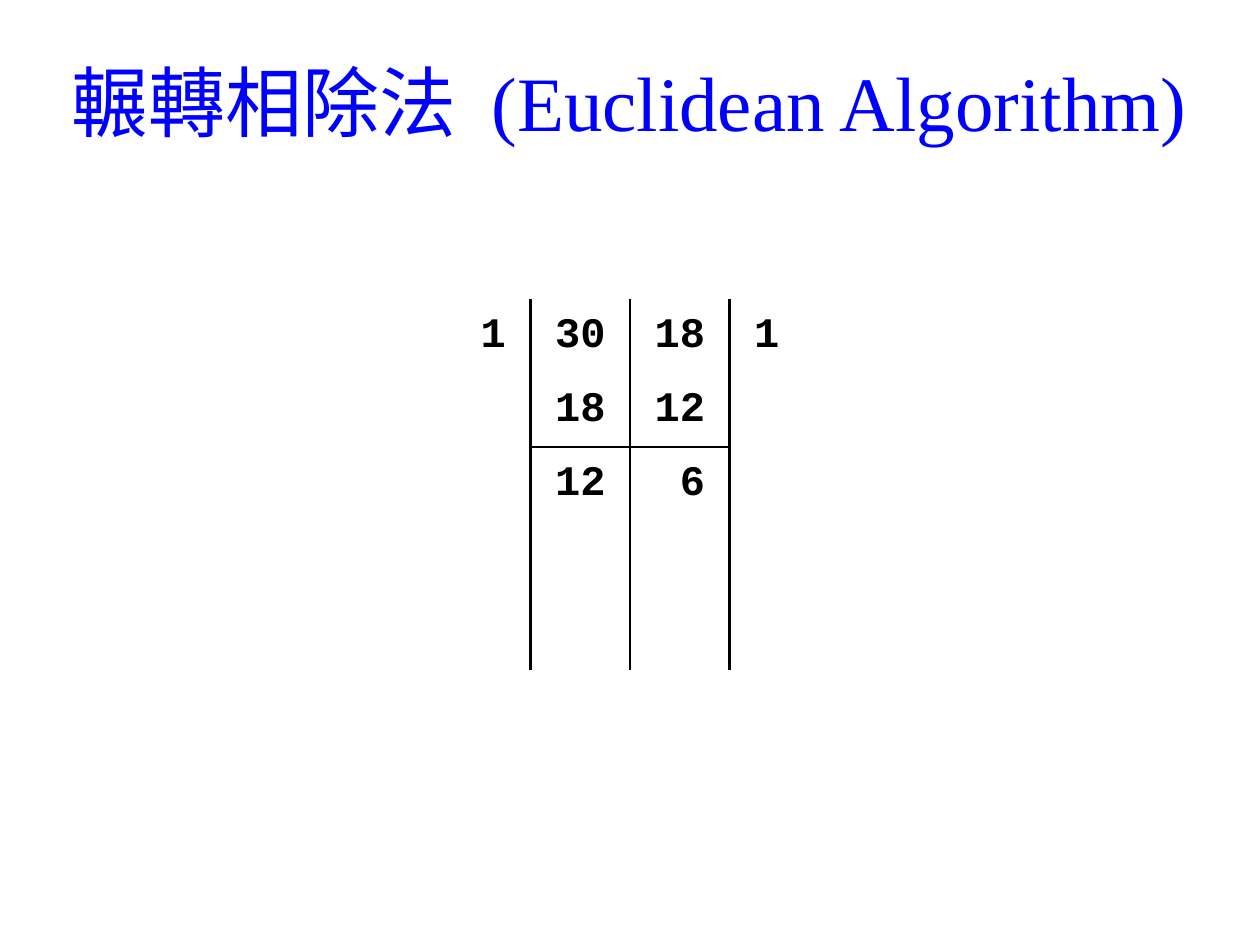
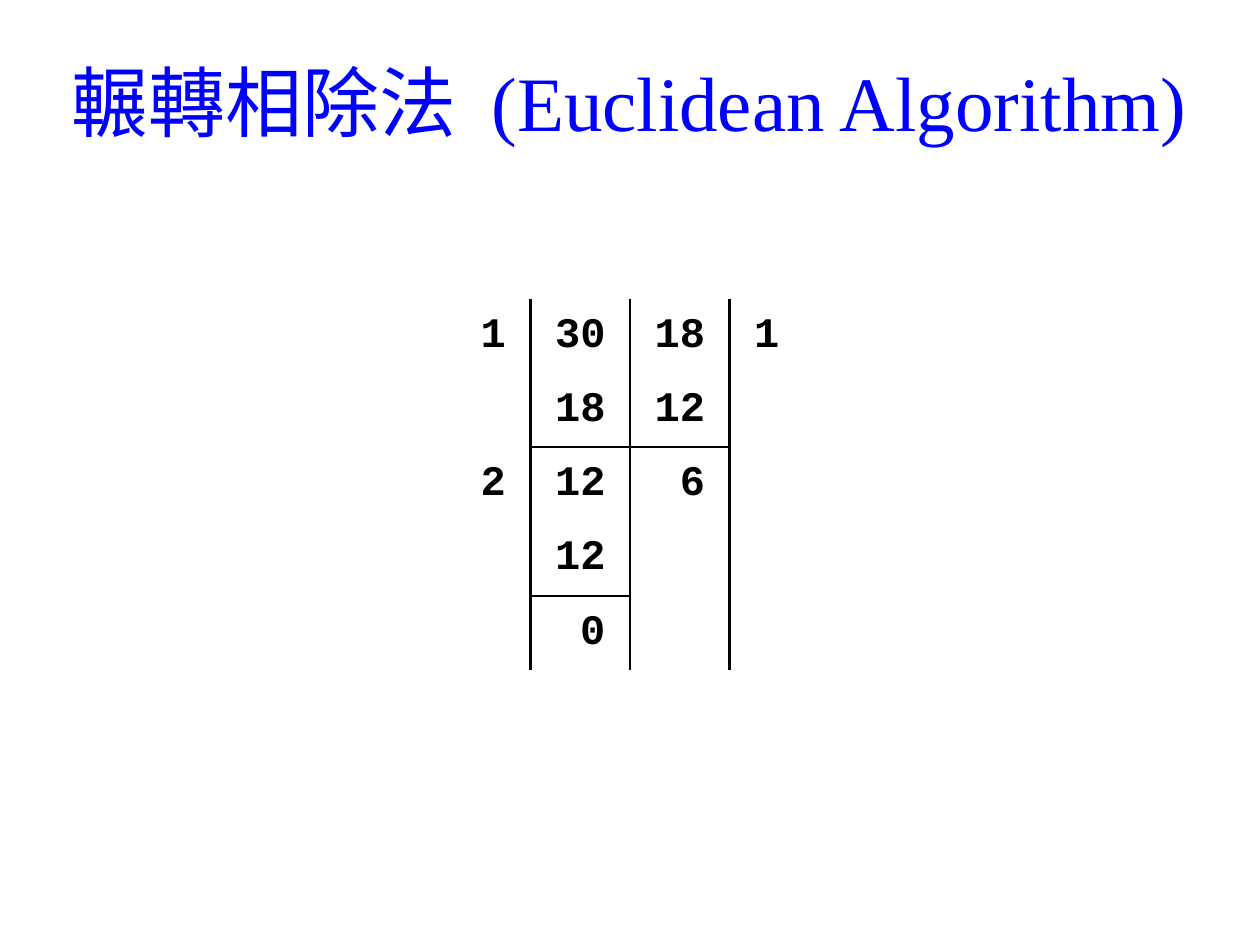
from lxml import etree
from pptx import Presentation
from pptx.dml.color import RGBColor
from pptx.enum.text import MSO_ANCHOR, PP_ALIGN
from pptx.oxml.ns import qn
from pptx.util import Inches, Pt

MIDDLE = MSO_ANCHOR.MIDDLE
CENTER, RIGHT = PP_ALIGN.CENTER, PP_ALIGN.RIGHT
BLUE = RGBColor(0x00, 0x00, 0xFF)
BLACK = RGBColor(0x00, 0x00, 0x00)

CJK, SERIF, MONO = "Noto Sans CJK SC", "Times New Roman", "Courier New"

# Title runs: text, font, letter spacing in points
TITLE = [("輾轉相除法", CJK, 0), (" ", CJK, 10), ("(Euclidean Algorithm)", SERIF, 0)]

# Columns: quotient, left number, right number, quotient.
# Each rule is the (row, column) of a cell that is underlined.
FIRST_ROWS = [("1", "30", "18", "1"), ("", "18", "12", "")]
STEPS = [
    {"rows": FIRST_ROWS + [("", "12", "6", "")] + [("",) * 4] * 2,
     "rules": {(1, 1), (1, 2)}},
    {"rows": FIRST_ROWS + [("2", "12", "6", ""), ("", "12", "", ""), ("", "0", "", "")],
     "rules": {(1, 1), (1, 2), (3, 1)}},
]

SLIDE_W, SLIDE_H = 10, 7.5
TITLE_BOX = (0.27, 0.21, 9.45, 1.18)
COLS = (0.59, 0.79, 0.79, 0.59)
ROW_H, TABLE_TOP = 0.59, 2.37
TITLE_PT, NUMBER_PT, LINE_PT = 44, 24, 1.5
DIGIT_W = 0.6 * NUMBER_PT / 72
PAD = (COLS[1] - 2 * DIGIT_W) / 2  # centres two digits, so units line up


def style(obj, **values):
    for name, value in values.items():
        setattr(obj, name, value)


def add_title(s):
    title = s.shapes.title
    style(title, **dict(zip(("left", "top", "width", "height"), map(Inches, TITLE_BOX))))
    tf = title.text_frame
    style(tf, vertical_anchor=MIDDLE, word_wrap=True)
    p = tf.paragraphs[0]
    p.alignment = CENTER
    for text, font, spacing in TITLE:
        r = p.add_run()
        r.text = text
        style(r.font, name=font, size=Pt(TITLE_PT))
        r.font.color.rgb = BLUE
        rpr = r._r.get_or_add_rPr()
        etree.SubElement(rpr, qn("a:ea"), typeface=font)
        if spacing:
            rpr.set("spc", str(spacing * 100))


def set_borders(cell, sides):
    tcpr = cell._tc.get_or_add_tcPr()
    for i, side in enumerate("LRTB"):
        shown = side in sides
        ln = etree.Element(qn("a:ln" + side), w=str(Pt(LINE_PT) if shown else 0))
        if shown:
            fill = etree.SubElement(ln, qn("a:solidFill"))
            etree.SubElement(fill, qn("a:srgbClr"), val=str(BLACK))
        else:
            etree.SubElement(ln, qn("a:noFill"))
        tcpr.insert(i, ln)


def add_division(s, rows, rules):
    width = sum(COLS)
    table = s.shapes.add_table(
        len(rows), len(COLS), Inches((SLIDE_W - width) / 2), Inches(TABLE_TOP),
        Inches(width), Inches(ROW_H * len(rows))).table
    style(table, first_row=False, horz_banding=False)
    for column, w in zip(table.columns, COLS):
        column.width = Inches(w)
    last = len(COLS) - 1
    for i, row in enumerate(rows):
        for j, text in enumerate(row):
            cell = table.cell(i, j)
            style(cell, vertical_anchor=MIDDLE, margin_left=Inches(0.1),
                  margin_right=Inches(PAD), margin_top=Inches(0.02),
                  margin_bottom=Inches(0.02))
            cell.fill.background()
            tests = {"L": j > 0, "R": j < last,
                     "T": (i - 1, j) in rules, "B": (i, j) in rules}
            set_borders(cell, [side for side, on in tests.items() if on])
            if text:
                p = cell.text_frame.paragraphs[0]
                p.alignment = RIGHT
                r = p.add_run()
                r.text = text
                style(r.font, name=MONO, size=Pt(NUMBER_PT), bold=True)
                r.font.color.rgb = BLACK


def main():
    prs = Presentation()
    style(prs, slide_width=Inches(SLIDE_W), slide_height=Inches(SLIDE_H))
    title_only = prs.slide_layouts[5]
    for step in STEPS:
        s = prs.slides.add_slide(title_only)
        add_title(s)
        add_division(s, **step)
    prs.save("out.pptx")


if __name__ == "__main__":
    main()
